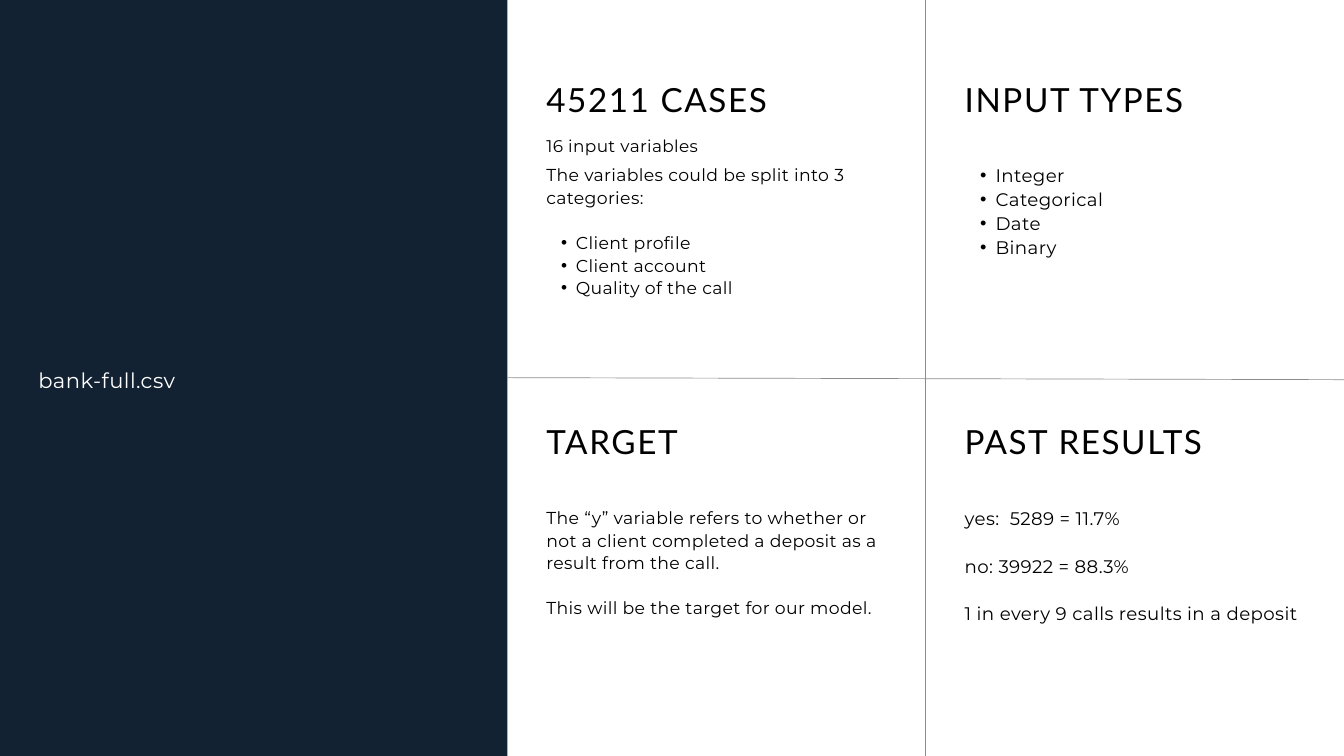
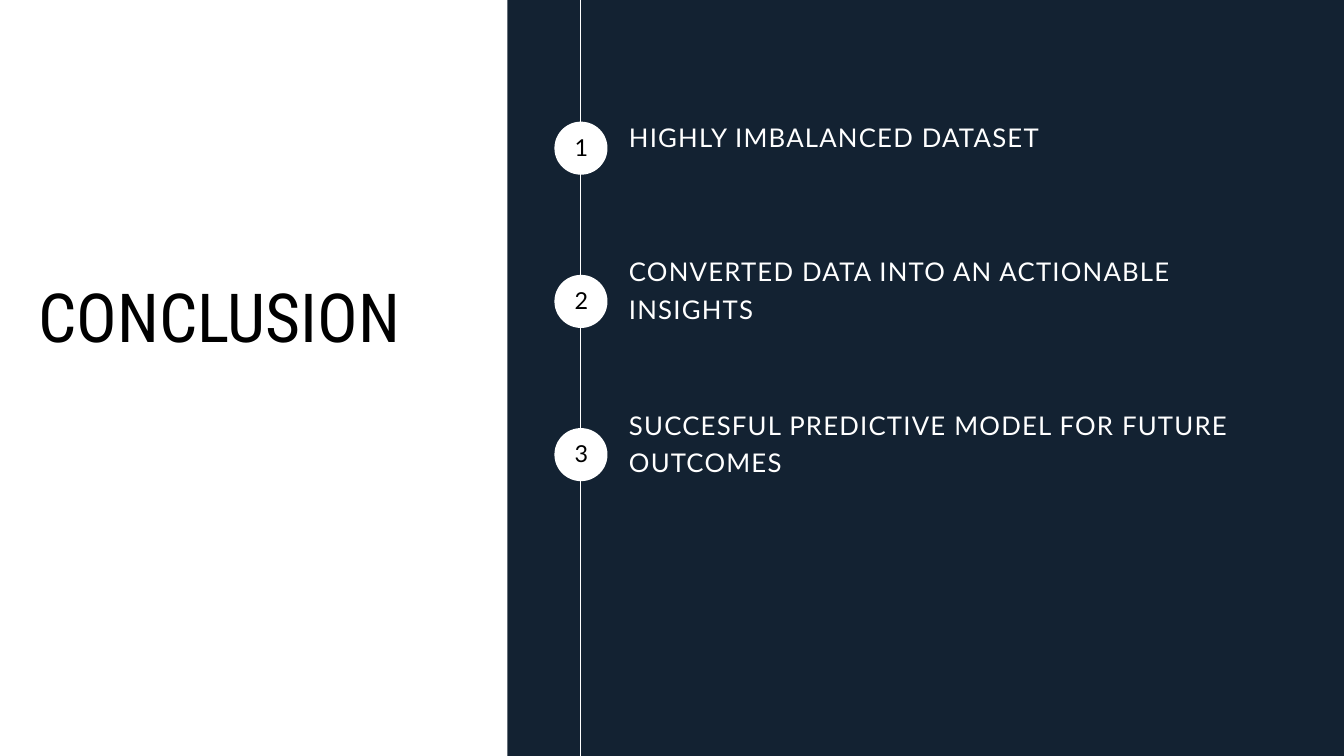
from dataclasses import dataclass

from pptx import Presentation
from pptx.dml.color import RGBColor as RGB
from pptx.enum.shapes import MSO_CONNECTOR as CONN, MSO_SHAPE as SHAPE
from pptx.enum.text import MSO_ANCHOR as ANCHOR, MSO_AUTO_SIZE as AUTO, PP_ALIGN as ALIGN
from pptx.oxml.ns import qn
from pptx.util import Inches, Pt
from lxml.etree import SubElement


@dataclass(frozen=True)
class Style:
    font: str
    size: float
    leading: float
    tracking: float = 0
    color: str = "000000"
    indent: float = 0.22


class Theme:
    navy, white, grey = "132232", "FFFFFF", "8C8C8C"
    rule = 0.75
    label = Style("Montserrat", 22.6, 32.8, 0.5, white)
    heading = Style("Lato", 35.6, 41, 1.7)
    lead = Style("Montserrat", 18.1, 26.2, 0.4)
    body = Style("Montserrat", 18.5, 24.2, 0.4)
    body_large = Style("Montserrat", 19.5, 25.5, 0.4, indent=0.23)
    title = Style("Roboto Condensed", 72.5, 83.3)
    number = Style("Lato", 25, 36.2, 1.2)
    step = Style("Lato", 27.6, 40, 1.3, white)


W, H = 20, 11.25
PANEL_W = 7.55
PANEL = (0, 0, PANEL_W, H)
MAIN = (PANEL_W, 0, W - PANEL_W, H)


# ---- Shared parts ----
def set_attrs(obj, **values):
    for name, value in values.items():
        setattr(obj, name, value)


def add_block(s, kind, box, color):
    sp = s.shapes.add_shape(kind, *map(Inches, box))
    sp.shadow.inherit = False
    sp.fill.solid()
    sp.fill.fore_color.rgb = RGB.from_string(color)
    sp.line.fill.background()


def add_rule(s, start, end, color):
    line = s.shapes.add_connector(CONN.STRAIGHT, *map(Inches, (*start, *end)))
    line.line.width = Pt(Theme.rule)
    line.line.color.rgb = RGB.from_string(color)
    SubElement(line._element.spPr, qn("a:effectLst"))


def add_bullet(p, indent):
    p.level = 1
    pPr = p._p.get_or_add_pPr()
    pPr.set("marL", str(Inches(2 * indent)))
    pPr.set("indent", str(-Inches(indent)))
    SubElement(pPr, qn("a:buFont")).set("typeface", "Arial")
    SubElement(pPr, qn("a:buChar")).set("char", "•")


def add_text(s, box, paragraphs, style, inset=0, anchor=ANCHOR.TOP,
             align=ALIGN.LEFT, auto_size=AUTO.SHAPE_TO_FIT_TEXT):
    """Each paragraph is (text, bulleted, line gap before)."""
    tf = s.shapes.add_textbox(*map(Inches, box)).text_frame
    margins = {f"margin_{side}": Inches(inset) for side in ("left", "top", "right", "bottom")}
    set_attrs(tf, word_wrap=True, auto_size=auto_size, vertical_anchor=anchor, **margins)
    for i, (text, bulleted, gap) in enumerate(paragraphs):
        p = tf.add_paragraph() if i else tf.paragraphs[0]
        set_attrs(p, alignment=align, line_spacing=Pt(style.leading),
                  space_before=Pt(style.leading if gap else 0))
        if bulleted:
            add_bullet(p, style.indent)
        r = p.add_run()
        r.text = text
        set_attrs(r.font, name=style.font, size=Pt(style.size))
        r.font.color.rgb = RGB.from_string(style.color)
        r._r.get_or_add_rPr().set("spc", str(round(style.tracking * 100)))


def plain(text):
    return [(text, False, False)]


def new_slide(prs, background, panel):
    s = prs.slides.add_slide(prs.slide_layouts[6])
    s.background.fill.solid()
    s.background.fill.fore_color.rgb = RGB.from_string(background)
    add_block(s, SHAPE.RECTANGLE, PANEL, panel)
    return s


# ---- Dataset slide ----
def add_cell(s, box, heading, body, style, body_h, lead=None):
    x, y, w, _ = box
    x, w = x + 0.58, w - 1.16
    add_text(s, (x, y + 1.2, w, 0.64), plain(heading), Theme.heading)
    if lead:
        add_text(s, (x, y + 1.95, w, 0.34), plain(lead), Theme.lead)
    add_text(s, (x, y + 2.42, w, body_h), body, style)


def add_grid(s, box, cells):
    x, y, w, h = box
    cell_w, row_h = w / 2, 5.1
    add_rule(s, (x, y + 5.62), (x + w, y + 5.65), Theme.grey)
    add_rule(s, (x + cell_w, y + h), (x + cell_w, y), Theme.grey)
    for i, cell in enumerate(cells):
        row, col = divmod(i, 2)
        style = Theme.body_large if col else Theme.body
        add_cell(s, (x + col * cell_w, y + row * row_h, cell_w, row_h), style=style, **cell)


def dataset_slide(prs):
    s = new_slide(prs, Theme.white, Theme.navy)
    add_text(s, (0.57, 5.39, 5.78, 0.42), plain("bank-full.csv"), Theme.label)
    add_grid(s, MAIN, [
        dict(heading="45211 CASES", lead="16 input variables", body_h=2, body=[
            ("The variables could be split into 3 categories:", False, False),
            ("Client profile", True, True),
            ("Client account", True, False),
            ("Quality of the call", True, False)]),
        dict(heading="INPUT TYPES", body_h=1.41, body=[
            (kind, True, False) for kind in ("Integer", "Categorical", "Date", "Binary")]),
        dict(heading="TARGET", body_h=1.66, body=[
            ("The “y” variable refers to whether or not a client completed "
             "a deposit as a result from the call.", False, False),
            ("This will be the target for our model.", False, True)]),
        dict(heading="PAST RESULTS", body_h=1.76, body=[
            ("yes:  5289 = 11.7%", False, False),
            ("no: 39922 = 88.3%", False, True),
            ("1 in every 9 calls results in a deposit", False, True)]),
    ])


# ---- Conclusion slide ----
def add_step(s, x, y, number, text, lines):
    add_block(s, SHAPE.OVAL, (x, y, 0.79, 0.79), Theme.white)
    add_text(s, (x + 0.08, y - 0.04, 0.64, 0.75), plain(str(number)), Theme.number,
             inset=0.06, anchor=ANCHOR.MIDDLE, align=ALIGN.CENTER, auto_size=AUTO.NONE)
    text_h = 0.03 + 0.55 * lines
    add_text(s, (x + 1.11, y + 0.19 - text_h / 2, 9.87, text_h), plain(text), Theme.step)


def add_timeline(s, box, steps):
    x, y, _, h = box
    add_rule(s, (x + 1.09, y + h), (x + 1.09, y), Theme.white)
    for i, (text, lines) in enumerate(steps):
        add_step(s, x + 0.7, y + 1.81 + 2.28 * i, i + 1, text, lines)


def conclusion_slide(prs):
    s = new_slide(prs, Theme.navy, Theme.white)
    add_text(s, (0.57, 4.14, 6.41, 1.18), plain("CONCLUSION"), Theme.title)
    add_timeline(s, MAIN, [
        ("HIGHLY IMBALANCED DATASET", 1),
        ("CONVERTED DATA INTO AN ACTIONABLE INSIGHTS", 2),
        ("SUCCESFUL PREDICTIVE MODEL FOR FUTURE OUTCOMES", 2),
    ])


def main():
    prs = Presentation()
    set_attrs(prs, slide_width=Inches(W), slide_height=Inches(H))
    dataset_slide(prs)
    conclusion_slide(prs)
    prs.save("out.pptx")


if __name__ == "__main__":
    main()
